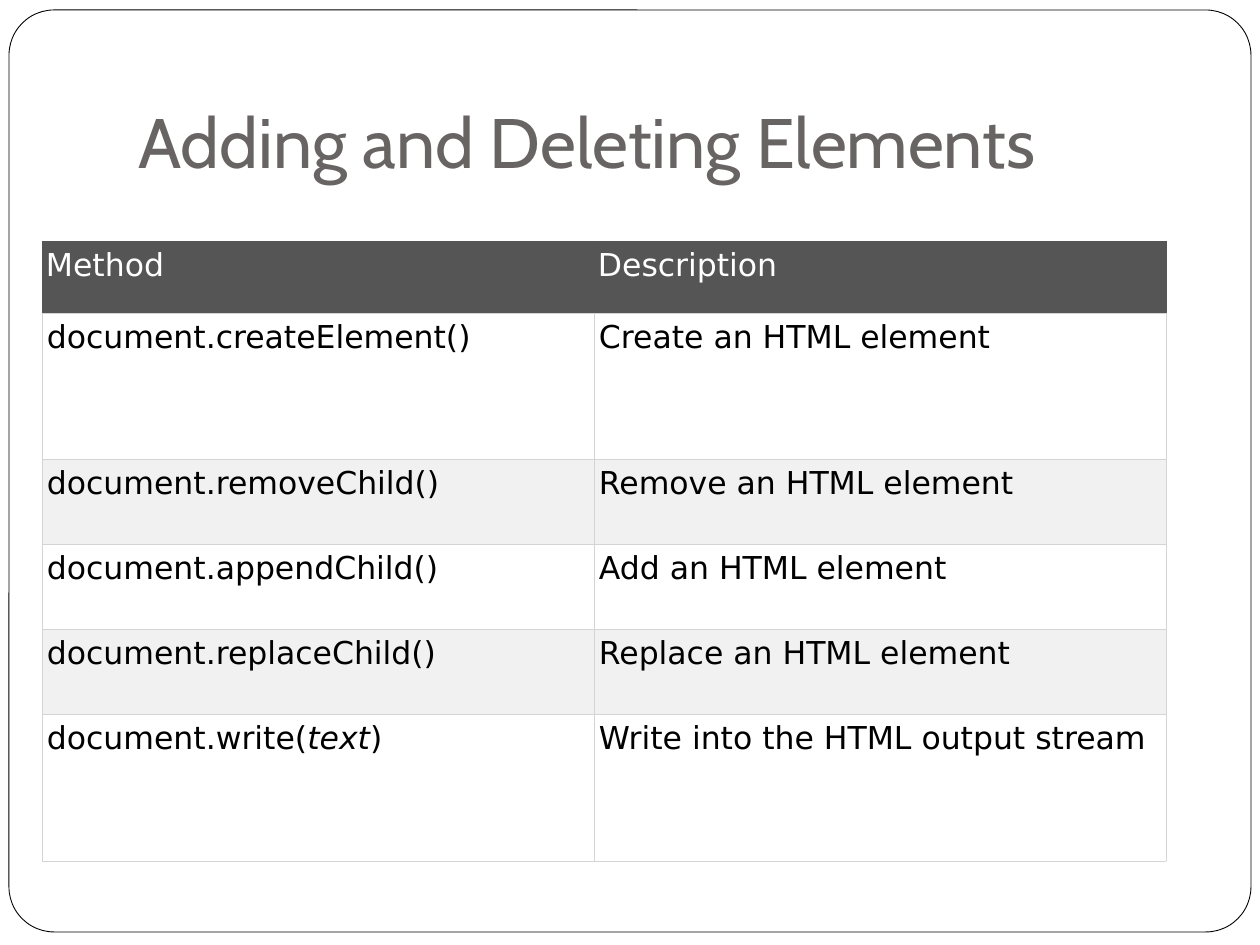
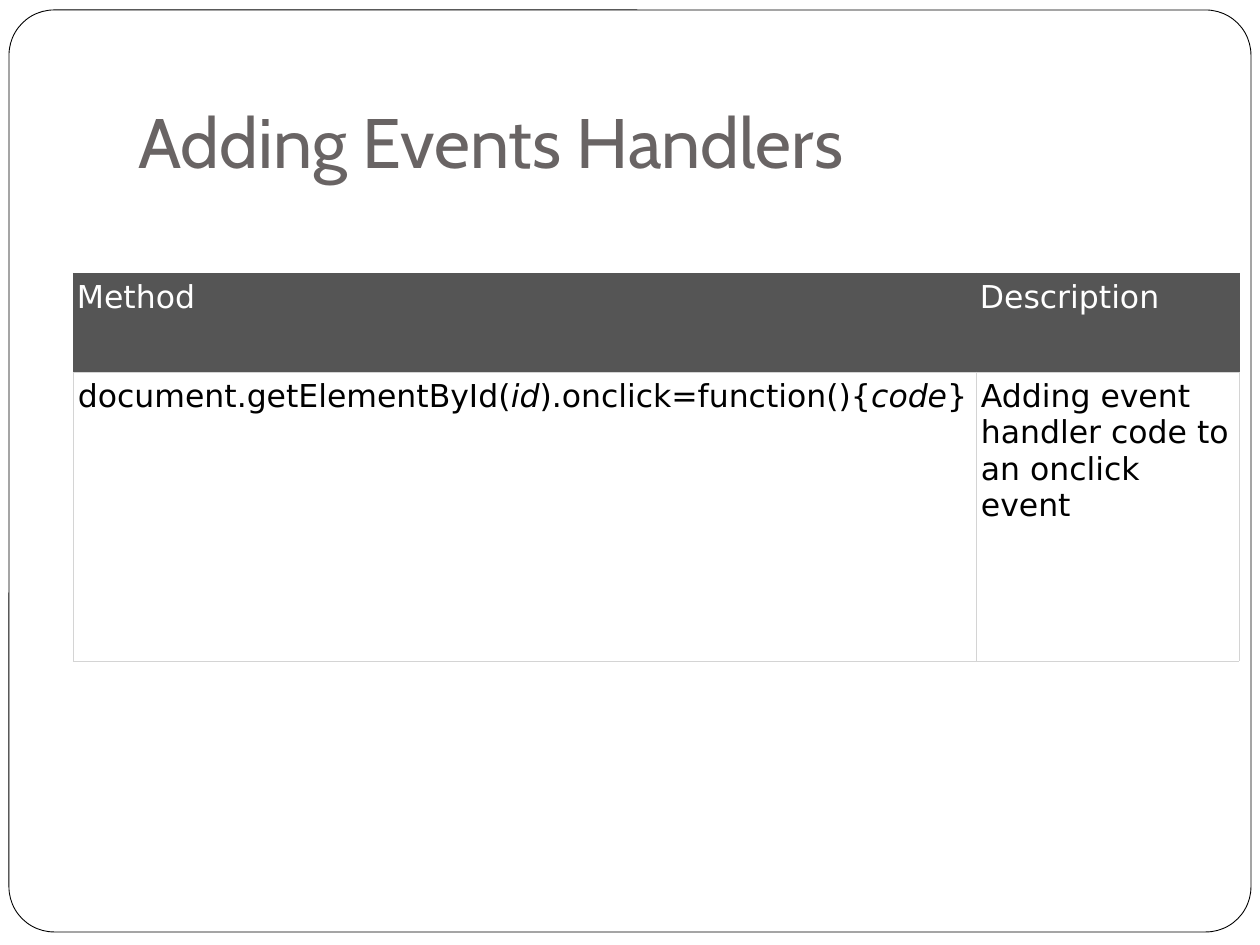
import pptx
import pptx.util
import pptx.dml.color
import pptx.enum.shapes
import pptx.enum.text
from lxml import etree

SCALE = 914400 / 126  # EMU in one px
NS = "http://schemas.openxmlformats.org/drawingml/2006/main"

# Shared look
WHITE, BLACK, GREY = "FFFFFF", "000000", "696464"
HEAD, BAND, GRID = "555555", "F1F1F1", "D4D4D4"
TITLE = {"name": "Cabin", "size": pptx.util.Pt(40)}
CELL = {"name": "DejaVu Sans", "size": pptx.util.Pt(18)}

# Table rows; text between asterisks is italic
HEADS = ("Method", "Description")
EDITS = [
    HEADS,
    ("document.createElement()", "Create an HTML element"),
    ("document.removeChild()", "Remove an HTML element"),
    ("document.appendChild()", "Add an HTML element"),
    ("document.replaceChild()", "Replace an HTML element"),
    ("document.write(*text*)", "Write into the HTML output stream"),
]
EVENTS = [
    HEADS,
    ("document.getElementById(*id*).onclick=function(){*code*}",
     "Adding event handler code to an onclick event"),
]


def px(num):
    return pptx.util.Emu(round(num * SCALE))


def color(code):
    return pptx.dml.color.RGBColor.from_string(code)


def apply(obj, vals):
    for key, val in vals.items():
        setattr(obj, key, val)


def paint(obj, code):
    obj.fill.solid()
    obj.fill.fore_color.rgb = color(code)


def write(frame, text, look, code):
    para = frame.paragraphs[0]
    for num, part in enumerate(text.split("*")):
        run = para.add_run()
        run.text = part
        apply(run.font, {**look, "italic": num % 2 == 1})
        run.font.color.rgb = color(code)


def add_frame(slide):
    kind = pptx.enum.shapes.MSO_SHAPE.ROUNDED_RECTANGLE
    shape = slide.shapes.add_shape(kind, px(9), px(10), px(1242), px(922))
    shape.adjustments[0] = 0.049
    shape.shadow.inherit = False
    paint(shape, WHITE)
    shape.line.color.rgb = color(BLACK)
    shape.line.width = pptx.util.Pt(0.5)


def add_title(slide, text):
    box = slide.shapes.add_textbox(px(126), px(38), px(1071), px(157))
    apply(box.text_frame, {
        "word_wrap": True,
        "vertical_anchor": pptx.enum.text.MSO_ANCHOR.BOTTOM,
        "margin_bottom": pptx.util.Inches(0.1),
    })
    write(box.text_frame, text, TITLE, GREY)


def add_edges(cell, side, base):
    """Draw the cell's borders: one colour around, another below."""
    props = cell._tc.get_or_add_tcPr()
    edges = (("lnL", side), ("lnR", side), ("lnT", side), ("lnB", base))
    for num, (tag, code) in enumerate(edges):
        line = etree.Element(f"{{{NS}}}{tag}", w=str(pptx.util.Pt(0.28)))
        fill = etree.SubElement(line, f"{{{NS}}}solidFill")
        etree.SubElement(fill, f"{{{NS}}}srgbClr", val=code)
        props.insert(num, line)


def add_cell(cell, text, row):
    top = row == 0
    inset = px(4 if top else 5)
    apply(cell, {"margin_left": inset, "margin_right": inset,
                 "margin_top": px(6), "margin_bottom": px(6)})
    write(cell.text_frame, text, CELL, WHITE if top else BLACK)
    paint(cell, HEAD if top else WHITE if row % 2 else BAND)
    add_edges(cell, HEAD if top else GRID, GRID)


def add_grid(slide, left, top, wides, highs, rows):
    shape = slide.shapes.add_table(len(highs), len(wides), px(left), px(top),
                                   px(sum(wides)), px(sum(highs)))
    table = shape.table
    apply(table, {"first_row": False, "horz_banding": False})
    for col, wide in zip(table.columns, wides):
        col.width = px(wide)
    for row, high in zip(table.rows, highs):
        row.height = px(high)
    for num, texts in enumerate(rows):
        for col, text in enumerate(texts):
            add_cell(table.cell(num, col), text, num)


def add_page(deck, title, *grid):
    slide = deck.slides.add_slide(deck.slide_layouts[6])
    add_frame(slide)
    add_title(slide, title)
    add_grid(slide, *grid)


def main():
    deck = pptx.Presentation()
    apply(deck, {"slide_width": px(1260), "slide_height": px(945)})
    add_page(deck, "Adding and Deleting Elements",
             42, 241, (552, 572), (72, 146, 85, 85, 85, 147), EDITS)
    add_page(deck, "Adding Events Handlers",
             73, 273, (903, 263), (99, 289), EVENTS)
    deck.save("out.pptx")


if __name__ == "__main__":
    main()
